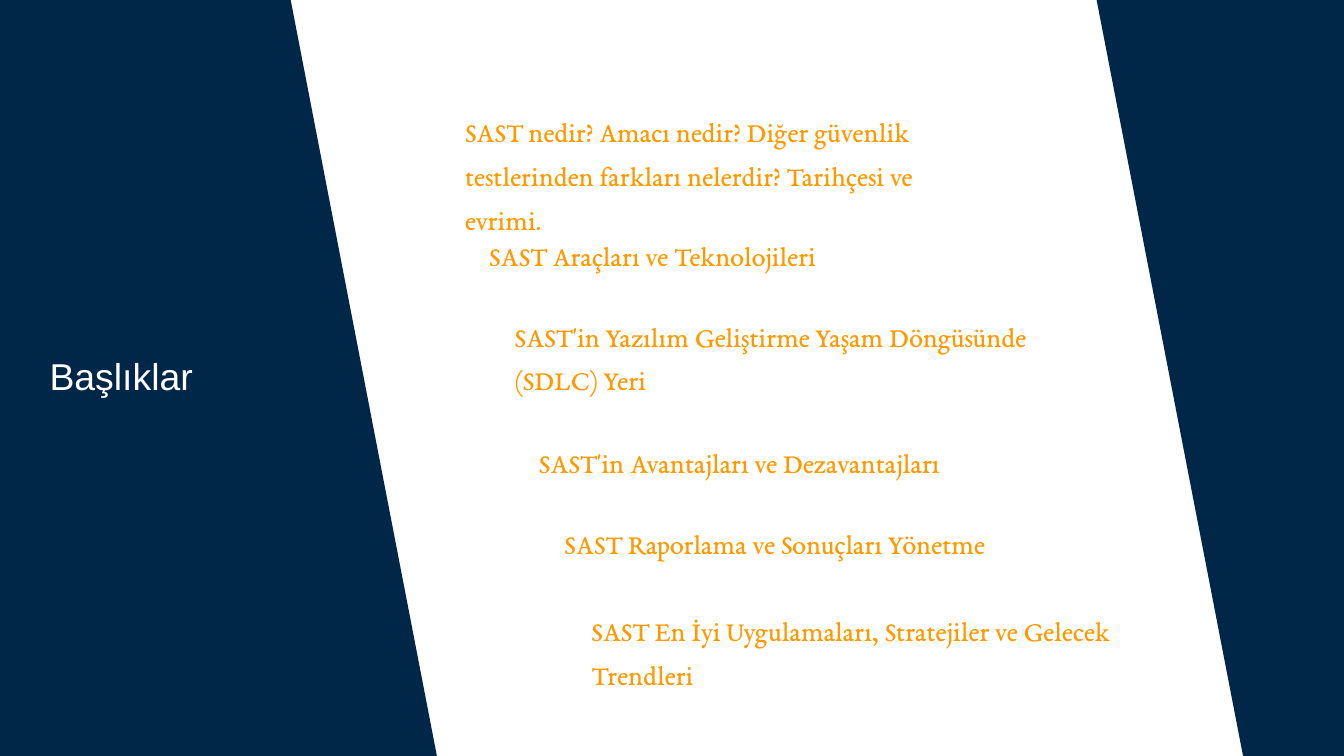
from dataclasses import dataclass

import pptx
import pptx.dml.color
import pptx.enum.text
import pptx.util

Inches = pptx.util.Inches


@dataclass(frozen=True)
class Theme:
    navy: str = "002748"
    orange: str = "FF9900"
    white: str = "FFFFFF"
    title_font: str = "Arial"
    topic_font: str = "EB Garamond"
    title_size: int = 20
    topic_size: int = 15
    topic_spacing: float = 1.3


class SlideBuilder:
    def __init__(self, slide, theme):
        self.slide = slide
        self.theme = theme

    def background(self):
        fill = self.slide.background.fill
        fill.solid()
        fill.fore_color.rgb = pptx.dml.color.RGBColor.from_string(self.theme.white)

    def panel(self, corners):
        start, *others = [(Inches(x), Inches(y)) for x, y in corners]
        outline = self.slide.shapes.build_freeform(*start, scale=1.0)
        outline.add_line_segments(others, close=True)
        panel = outline.convert_to_shape()
        panel.shadow.inherit = False
        panel.fill.solid()
        panel.fill.fore_color.rgb = pptx.dml.color.RGBColor.from_string(self.theme.navy)
        panel.line.fill.background()

    def text(self, words, box, insets, font, size, color, spacing=None):
        frame = self.slide.shapes.add_textbox(*map(Inches, box)).text_frame
        frame.word_wrap = True
        frame.auto_size = pptx.enum.text.MSO_AUTO_SIZE.SHAPE_TO_FIT_TEXT
        side, end = map(Inches, insets)
        frame.margin_left = frame.margin_right = side
        frame.margin_top = frame.margin_bottom = end
        paragraph = frame.paragraphs[0]
        if spacing:
            paragraph.line_spacing = spacing
        run = paragraph.add_run()
        run.text = words
        run.font.name = font
        run.font.size = pptx.util.Pt(size)
        run.font.color.rgb = pptx.dml.color.RGBColor.from_string(color)

    def title(self, words, box):
        t = self.theme
        self.text(words, box, (0.1, 0.05), t.title_font, t.title_size, t.white)

    def topic(self, words, left, top, height):
        t = self.theme
        self.text(words, (left, top, 4.02, height), (0.07, 0.04),
                  t.topic_font, t.topic_size, t.orange, t.topic_spacing)


# Topics step to the right along the slanted panels: left, top, height, words
ONE_LINE, TWO_LINES = 0.33, 0.66
FIRST_TOPICS = [
    (3.39, 0.74, TWO_LINES, "SAST nedir? Amacı nedir? Diğer güvenlik testlerinden "
                            "farkları nelerdir? Tarihçesi ve evrimi."),
    (3.57, 1.66, ONE_LINE, "SAST Araçları ve Teknolojileri"),
    (3.76, 2.26, TWO_LINES, "SAST'in Yazılım Geliştirme Yaşam Döngüsünde (SDLC) Yeri"),
    (3.94, 3.20, ONE_LINE, "SAST'in Avantajları ve Dezavantajları"),
    (4.13, 3.80, ONE_LINE, "SAST Raporlama ve Sonuçları Yönetme"),
]
LAST_TOPIC = (4.33, 4.45, TWO_LINES,
              "SAST En İyi Uygulamaları, Stratejiler ve Gelecek Trendleri")


def main():
    deck = pptx.Presentation()
    deck.slide_width = Inches(10)
    deck.slide_height = deck.slide_width * 9 // 16
    builder = SlideBuilder(deck.slides.add_slide(deck.slide_layouts[6]), Theme())
    builder.background()

    # Left panel, topics, right panel
    builder.panel([(-0.04, -0.07), (-0.04, 5.67), (3.26, 5.67), (2.15, -0.07)])
    for left, top, height, words in FIRST_TOPICS:
        builder.topic(words, left, top, height)
    builder.panel([(11.45, 5.68), (11.45, -0.05), (8.15, -0.05), (9.26, 5.68)])

    # Title on the left panel, and the closing topic
    builder.title("Başlıklar", (0.27, 2.58, 2.21, 0.44))
    left, top, height, words = LAST_TOPIC
    builder.topic(words, left, top, height)

    deck.save("out.pptx")


if __name__ == "__main__":
    main()
